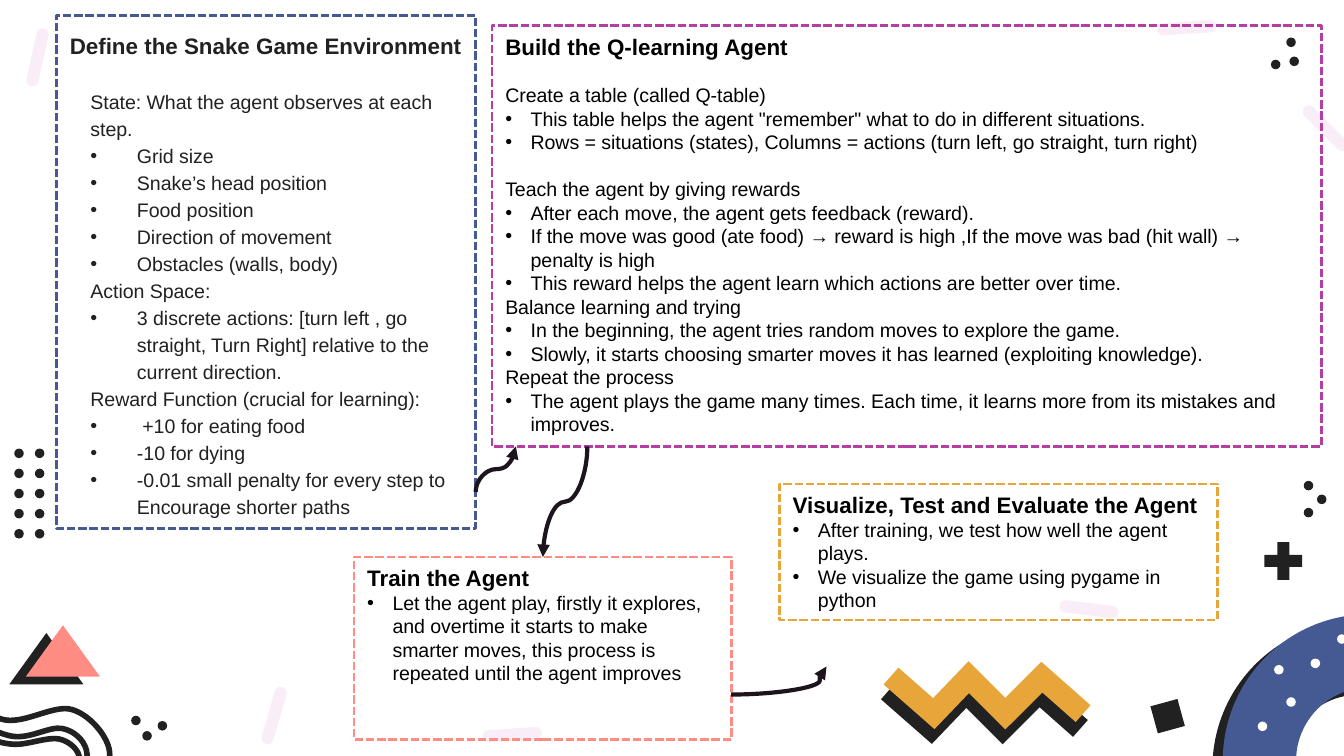
import pptx
import pptx.dml.color
import pptx.enum.dml
import pptx.enum.shapes
import pptx.enum.text
import pptx.oxml.ns
import pptx.util
from dataclasses import dataclass
from lxml import etree

Cm, Pt = pptx.util.Cm, pptx.util.Pt
qn = pptx.oxml.ns.qn
KIND = pptx.enum.shapes.MSO_SHAPE


@dataclass(frozen=True)
class Theme:
    face: str = "Arial"
    head: float = 12
    body: float = 10.5
    ink: str = "212121"
    black: str = "000000"
    white: str = "FFFFFF"
    blue: str = "455A93"
    plum: str = "B63DA2"
    coral: str = "FF8D83"
    gold: str = "E8A63A"
    blush: str = "F9EDF7"
    arrow: str = "1E141E"


T = Theme()

# Text lines: "*" marks a bullet, "|" a line with a gap above it.
BOXES = [
    dict(at=(1.07, 0.29, 7.92, 9.7), line=T.blue, ink=T.ink, inset=(0.25, 0.2, 0.25),
         pitch=1.15, gap=14.5, left=0.39, bullet=(1.27, -0.88),
         title="Define the Snake Game Environment",
         lines=["|State: What the agent observes at each step.",
                "*Grid size", "*Snake’s head position", "*Food position",
                "*Direction of movement", "*Obstacles (walls, body)",
                "Action Space:",
                "*3 discrete actions: [turn left , go straight, Turn Right] "
                "relative to the current direction.",
                "Reward Function (crucial for learning):",
                "* +10 for eating food", "*-10 for dying",
                "*-0.01 small penalty for every step to Encourage shorter paths"]),
    dict(at=(9.3, 0.49, 15.67, 7.95), line=T.plum, title="Build the Q-learning Agent",
         lines=["|Create a table (called Q-table)",
                '*This table helps the agent "remember" what to do in different situations.',
                "*Rows = situations (states), Columns = actions "
                "(turn left, go straight, turn right)",
                "|Teach the agent by giving rewards",
                "*After each move, the agent gets feedback (reward).",
                "*If the move was good (ate food) → reward is high ,"
                "If the move was bad (hit wall) → penalty is high",
                "*This reward helps the agent learn which actions are better over time.",
                "Balance learning and trying",
                "*In the beginning, the agent tries random moves to explore the game.",
                "*Slowly, it starts choosing smarter moves it has learned "
                "(exploiting knowledge).",
                "Repeat the process",
                "*The agent plays the game many times. Each time, it learns more "
                "from its mistakes and improves."]),
    dict(at=(6.69, 10.53, 7.13, 3.45), line=T.coral, title="Train the Agent",
         lines=["*Let the agent play, firstly it explores, and overtime it starts to make "
                "smarter moves, this process is repeated until the agent improves"]),
    dict(at=(14.73, 9.15, 8.28, 2.57), line=T.gold,
         title="Visualize, Test and Evaluate the Agent",
         lines=["*After training, we test how well the agent plays.",
                "*We visualize the game using pygame in python"]),
]
PLAIN = dict(ink=T.black, inset=(0.25, 0.25, 0.13), pitch=1, gap=12.6,
             left=0, bullet=(0.48, -0.48))

# Start, end, turned a quarter, bend
ARROWS = [((8.99, 9.3), (9.75, 8.44), True, 0.5),
          ((11.1, 8.44), (10.26, 10.53), True, 0.5),
          ((13.82, 13.13), (15.62, 12.6), False, 0.93)]

PALE = [(23.77, 13.64), (24.31, 13.18), (24.08, 12.57), (24.77, 12.45), (25.27, 11.99)]
DARK = [(24.64, 9.6), (24.64, 9.09), (24.89, 9.35),
        (2.48, 13.53), (2.98, 13.63), (2.69, 13.82),
        (24.02, 1.13), (24.31, 0.71), (24.37, 1.07)]
DARK += [(x, 8.48 + 0.38 * row) for x in (0.27, 0.66) for row in range(5)]
PILLS = [(4.62, 13.41, 106.1), (9.12, 13.77, 176.1), (20.02, 11.4, 6.9),
         (24.49, 2.31, 45), (0.15, 0.97, 282.2), (21.87, 0.41, 356.4)]
WAVES = [
    [(0.69, 15.54), (1.73, 15.09), (2.06, 14.15), (1.35, 13.41), (0.1, 13.61),
     (-0.97, 13.03), (-1.83, 13.18), (-2.24, 14.1), (-1.83, 15.09), (-0.71, 15.6)],
    [(0.71, 15.24), (1.47, 14.86), (1.63, 14.17), (1.17, 13.77), (0.25, 13.92),
     (-0.81, 13.51), (-1.45, 13.54), (-1.73, 14.17), (-1.4, 14.86), (-0.46, 15.24)],
    [(-0.2, 15.14), (1.09, 14.96), (1.5, 14.35), (1.12, 13.97), (0.28, 14.07),
     (-0.38, 13.92), (-1.04, 13.72), (-1.42, 13.94), (-1.5, 14.43), (-1.09, 14.86)],
]
ZIGZAG = [(20.47, 13.49), (19.69, 12.8), (19, 13.49), (18.31, 12.8),
          (17.65, 13.49), (16.84, 12.78)]


def rgb(code):
    return pptx.dml.color.RGBColor.from_string(code)


def add(node, tag, **attrs):
    return etree.SubElement(node, qn(tag), attrs)


def stroke(item, color, width):
    item.line.color.rgb = rgb(color)
    item.line.width = Pt(width)


def solid(kind, at, color, turn=0, adjust=None):
    shape = shapes.add_shape(kind, *map(Cm, at))
    shape.shadow.inherit = False
    shape.fill.solid()
    shape.fill.fore_color.rgb = rgb(color)
    shape.line.fill.background()
    shape.rotation = turn
    if adjust is not None:
        shape.adjustments[0] = adjust
    return shape


def shade(shape, reach, angle):
    """Cast a hard dark shadow, reach in points and angle in degrees."""
    effect = shape._element.spPr.find(qn("a:effectLst"))
    cast = add(effect, "a:outerShdw", blurRad="0", dist=str(Pt(reach)),
               dir=str(angle * 60000), algn="bl", rotWithShape="0")
    add(cast, "a:srgbClr", val=T.ink)


def trace(points, color, width, close=False):
    spots = [(Cm(x), Cm(y)) for x, y in points]
    pen = shapes.build_freeform(*spots[0])
    pen.add_line_segments(spots[1:], close=close)
    shape = pen.convert_to_shape()
    shape.shadow.inherit = False
    shape.fill.background()
    stroke(shape, color, width)
    add(shape.line._ln, "a:miter", lim="800000")
    return shape


def smooth(shape):
    """Turn a closed outline's straight sides into a curve through its corners."""
    route = next(shape._element.iter(qn("a:path")))
    spots = [(int(p.get("x")), int(p.get("y"))) for p in route.iter(qn("a:pt"))]
    for part in list(route)[1:]:
        route.remove(part)
    count = len(spots)
    for i in range(count):
        a, b, c, d = (spots[(i + k) % count] for k in (-1, 0, 1, 2))
        leave = [q + (r - p) / 6 for p, q, r in zip(a, b, c)]
        reach = [q - (r - p) / 6 for p, q, r in zip(b, c, d)]
        curve = add(route, "a:cubicBezTo")
        for x, y in (leave, reach, c):
            add(curve, "a:pt", x=str(round(x)), y=str(round(y)))
    add(route, "a:close")


def write(para, text, box, size, bold=False):
    mark, text = (text[0], text[1:]) if text[0] in "*|" else ("", text)
    para.text = text
    props = para._p.get_or_add_pPr()
    left, hang = box["bullet"] if mark == "*" else (0 if bold else box["left"], 0)
    props.set("marL", str(Cm(left)))
    props.set("indent", str(Cm(hang)))
    if mark == "*":
        add(props, "a:buFont", typeface=T.face)
        add(props, "a:buChar", char="•")
    if mark == "|":
        para.space_before = Pt(box["gap"])
    para.line_spacing = box["pitch"]
    para.alignment = pptx.enum.text.PP_ALIGN.LEFT
    font = para.font
    font.name, font.size, font.bold = T.face, Pt(size), bold
    font.color.rgb = rgb(box["ink"])


def panel(box):
    shape = shapes.add_shape(KIND.RECTANGLE, *map(Cm, box["at"]))
    shape.shadow.inherit = False
    shape.fill.background()
    stroke(shape, box["line"], 1.5)
    shape.line.dash_style = pptx.enum.dml.MSO_LINE.SQUARE_DOT
    frame = shape.text_frame
    frame.word_wrap = True
    frame.vertical_anchor = pptx.enum.text.MSO_ANCHOR.TOP
    frame.margin_left, frame.margin_right, frame.margin_top = map(Cm, box["inset"])
    write(frame.paragraphs[0], box["title"], box, T.head, True)
    for text in box["lines"]:
        write(frame.add_paragraph(), text, box, T.body)


def arrow(start, end, turned, bend):
    ends = [start, end]
    if turned:
        mx, my = ((a + b) / 2 for a, b in zip(start, end))
        ends = [(mx + y - my, my - x + mx) for x, y in ends]
    link = shapes.add_connector(pptx.enum.shapes.MSO_CONNECTOR.CURVE,
                                *(Cm(v) for spot in ends for v in spot))
    stroke(link, T.arrow, 2.25)
    add(link.line._ln, "a:tailEnd", type="triangle")
    props = link._element.spPr
    if turned:
        props.find(qn("a:xfrm")).set("rot", str(90 * 60000))
    guides = props.find(qn("a:prstGeom")).find(qn("a:avLst"))
    add(guides, "a:gd", name="adj1", fmla=f"val {round(bend * 100000)}")
    add(props, "a:effectLst")


deck = pptx.Presentation()
deck.slide_width, deck.slide_height = Cm(25.4), Cm(14.29)
shapes = deck.slides.add_slide(deck.slide_layouts[6]).shapes

shade(solid(KIND.DONUT, (23.11, 11.61, 5.54, 5.54), T.blue, adjust=0.25), 6.8, 145)
for x, y in PALE:
    solid(KIND.OVAL, (x, y, 0.18, 0.18), T.white)
for wave in WAVES:
    smooth(trace(wave, T.ink, 3, close=True))
shade(solid(KIND.ISOSCELES_TRIANGLE, (0.49, 11.82, 1.4, 0.97), T.coral), 9.8, 155)
solid(KIND.MATH_PLUS, (23.77, 10.12, 0.97, 0.97), T.ink, adjust=0.235)
solid(KIND.RECTANGLE, (21.8, 13.27, 0.53, 0.53), T.ink, 164.7)
for x, y in DARK:
    solid(KIND.OVAL, (x, y, 0.18, 0.18), T.ink)
for x, y, turn in PILLS:
    solid(KIND.ROUNDED_RECTANGLE, (x, y, 1.12, 0.23), T.blush, turn, 0.5)
trace([(x - 0.05, y + 0.28) for x, y in ZIGZAG], T.ink, 12)
trace(ZIGZAG, T.gold, 12)
for box in BOXES:
    panel({**PLAIN, **box})
for item in ARROWS:
    arrow(*item)

deck.save("out.pptx")
